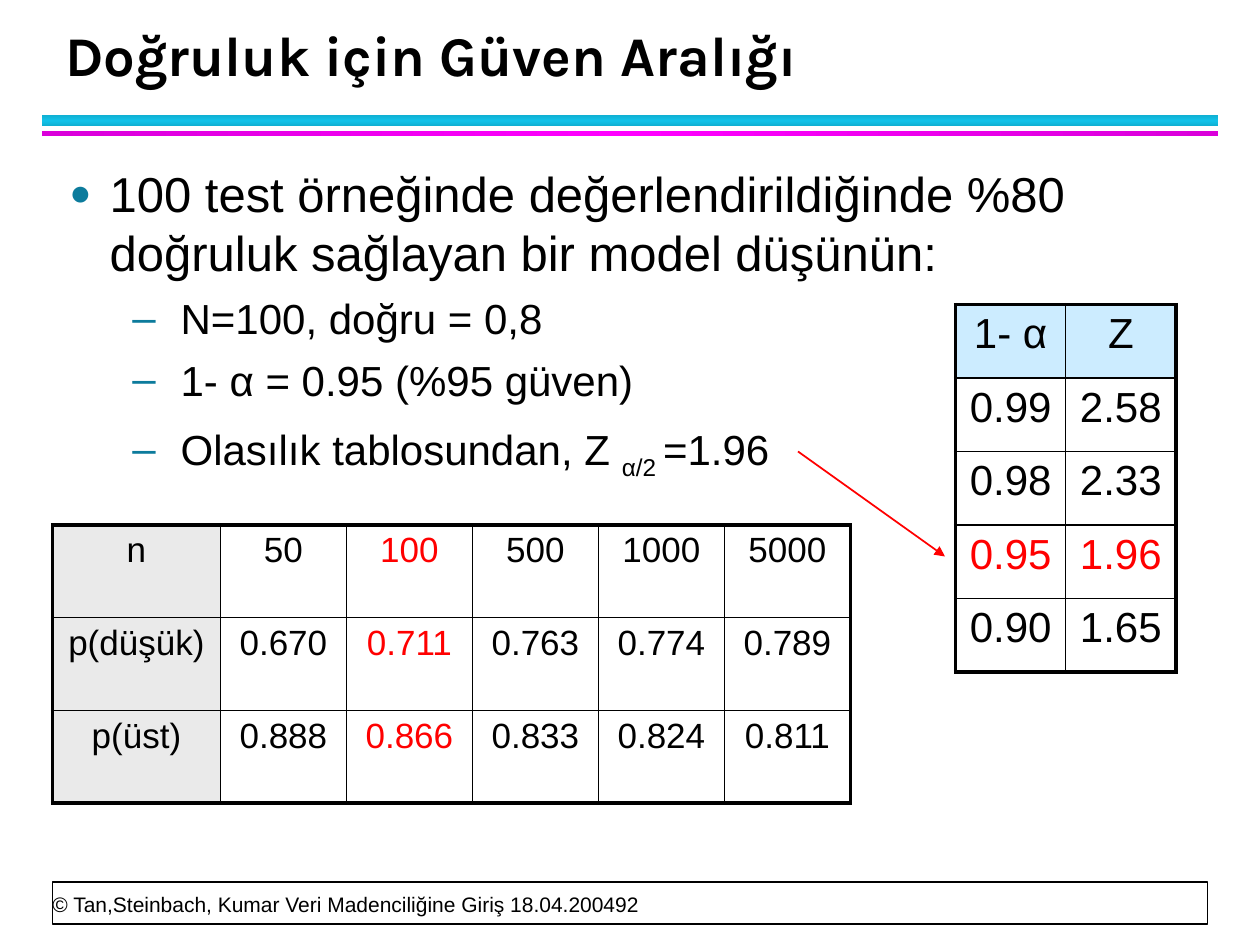
import copy
import lxml.etree
import pptx
import pptx.dml.color
import pptx.enum.shapes
import pptx.enum.text
import pptx.oxml.ns
import pptx.util

Pt = pptx.util.Pt
qn = pptx.oxml.ns.qn
SubElement = lxml.etree.SubElement
Shapes = pptx.enum.shapes.MSO_SHAPE
Anchor = pptx.enum.text.MSO_ANCHOR
Align = pptx.enum.text.PP_ALIGN
COLORS = {
    name: pptx.dml.color.RGBColor.from_string(value)
    for name, value in {
        "black": "000000", "white": "FFFFFF", "red": "FF0000",
        "bullet": "0C7B9C", "cyan edge": "10B0D3", "cyan": "12C2E9",
        "magenta edge": "DA00DA", "magenta": "FF00FF",
        "header blue": "CCECFF", "header gray": "EAEAEA",
    }.items()
}


def style(span, size, color="black", name="Arial", bold=False):
    span.font.size = Pt(size)
    span.font.name = name
    span.font.bold = bold
    span.font.color.rgb = COLORS[color]


def place(box, left, top, width, height):
    box.left, box.top, box.width, box.height = Pt(left), Pt(top), Pt(width), Pt(height)


deck = pptx.Presentation()
deck.slide_width, deck.slide_height = Pt(720), Pt(540)
page = deck.slides.add_slide(deck.slide_layouts[1])

for top, height, color, angle in [(66, 6, "cyan", 90), (75, 3, "magenta", 0)]:
    rule = page.shapes.add_shape(Shapes.RECTANGLE, Pt(24), Pt(top), Pt(672), Pt(height))
    rule.shadow.inherit = False
    rule.line.fill.background()
    rule.fill.gradient()
    rule.fill.gradient_angle = angle
    stop_list = rule._element.spPr.find(".//" + qn("a:gsLst"))
    stop_list.append(copy.deepcopy(stop_list[0]))
    edge = color + " edge"
    for stop, position, shade in zip(rule.fill.gradient_stops, (0, 0.5, 1), (edge, color, edge)):
        stop.position = position
        stop.color.rgb = COLORS[shade]

frame = page.shapes.add_shape(Shapes.RECTANGLE, Pt(30), Pt(504), Pt(660), Pt(24))
frame.shadow.inherit = False
frame.fill.solid()
frame.fill.fore_color.rgb = COLORS["white"]
frame.line.color.rgb = COLORS["black"]
frame.line.width = Pt(1)

footer = page.shapes.add_textbox(Pt(30), Pt(504), Pt(659), Pt(20)).text_frame
footer.word_wrap = True
footer.vertical_anchor = Anchor.BOTTOM
footer.margin_left = footer.margin_top = footer.margin_right = footer.margin_bottom = 0
footer.text = "© Tan,Steinbach, Kumar Veri Madenciliğine Giriş 18.04.200492"
footer.paragraphs[0].line_spacing = Pt(20)
style(footer.paragraphs[0].runs[0], 12)

title = page.shapes.title
place(title, 30, 12, 652.5, 42)
title.text_frame.text = "Doğruluk için Güven Aralığı"
title.text_frame.auto_size = pptx.enum.text.MSO_AUTO_SIZE.NONE
title.text_frame.vertical_anchor = Anchor.BOTTOM
title.text_frame.paragraphs[0].alignment = Align.LEFT
title.text_frame.paragraphs[0].line_spacing = Pt(36)
style(title.text_frame.paragraphs[0].runs[0], 32, name="Karla", bold=True)

body = page.placeholders[1]
place(body, 32.5, 90, 655, 408)
body.text_frame.auto_size = pptx.enum.text.MSO_AUTO_SIZE.NONE
BULLETS = [
    (0, [("100 test örneğinde değerlendirildiğinde %80 doğruluk sağlayan bir model düşünün:", 28)]),
    (1, [("N=100, doğru = 0,8", 24)]),
    (1, [("1- α = 0.95 (%95 güven)", 24)]),
    (1, [("Olasılık tablosundan, Z ", 24), ("α/2 ", 24), ("=1.96", 24), (" ", 28)]),
]
LEVELS = [(23, -23, "●", 75), (63.5, -27.5, "–", 100)]
for index, (level, spans) in enumerate(BULLETS):
    para = body.text_frame.paragraphs[0] if index == 0 else body.text_frame.add_paragraph()
    para.level = level
    para.space_before = Pt(spans[-1][1] / 10)
    para.space_after = Pt(4)
    margin, indent, mark, percent = LEVELS[level]
    properties = para._p.get_or_add_pPr()
    properties.set("marL", str(Pt(margin)))
    properties.set("indent", str(Pt(indent)))
    SubElement(SubElement(properties, qn("a:buClr")), qn("a:srgbClr")).set("val", str(COLORS["bullet"]))
    SubElement(properties, qn("a:buSzPct")).set("val", str(percent * 1000))
    SubElement(properties, qn("a:buFont")).set("typeface", "Arial")
    SubElement(properties, qn("a:buChar")).set("char", mark)
    for text, size in spans:
        span = para.add_run()
        span.text = text
        style(span, size)
        if text == "α/2 ":
            span.font._element.set("baseline", "-25000")

Z_ROWS = [("1- α", "Z"), ("0.99", "2.58"), ("0.98", "2.33"), ("0.95", "1.96"), ("0.90", "1.65")]
BOUND_ROWS = [
    ("n", "50", "100", "500", "1000", "5000"),
    ("p(düşük)", "0.670", "0.711", "0.763", "0.774", "0.789"),
    ("p(üst)", "0.888", "0.866", "0.833", "0.824", "0.811"),
]
TABLES = [
    (Z_ROWS, 546, 174, [63, 63], 42, 24, "header blue"),
    (BOUND_ROWS, 30, 300, [96] + [72] * 5, 53, 20, "header gray"),
]
RED_VALUES = {"0.95", "1.96", "100", "0.711", "0.866"}
for rows, left, top, widths, height, size, header in TABLES:
    last_row, last_column = len(rows) - 1, len(widths) - 1
    table = page.shapes.add_table(
        len(rows), len(widths), Pt(left), Pt(top), Pt(sum(widths)), Pt(height * len(rows))
    ).table
    table.first_row = table.horz_banding = False
    for column, width in zip(table.columns, widths):
        column.width = Pt(width)
    for r, values in enumerate(rows):
        table.rows[r].height = Pt(height)
        for c, value in enumerate(values):
            cell = table.cell(r, c)
            cell.text_frame.text = value
            para = cell.text_frame.paragraphs[0]
            para.alignment = Align.CENTER
            para.space_before = Pt(size / 10)
            para.space_after = Pt(4)
            style(para.runs[0], size, "red" if value in RED_VALUES else "black")
            is_header = r == 0 if header == "header blue" else c == 0
            properties = cell._tc.get_or_add_tcPr()
            outer_sides = {"L": c == 0, "R": c == last_column, "T": r == 0, "B": r == last_row}
            for side, outer in outer_sides.items():
                border = SubElement(properties, qn("a:ln" + side))
                border.set("w", str(Pt(2.25 if outer else 1)))
                paint = SubElement(border, qn("a:solidFill"))
                SubElement(paint, qn("a:srgbClr")).set("val", str(COLORS["black"]))
            cell.fill.solid()
            cell.fill.fore_color.rgb = COLORS[header if is_header else "white"]

arrow = page.shapes.add_connector(
    pptx.enum.shapes.MSO_CONNECTOR.STRAIGHT, Pt(456), Pt(258), Pt(540), Pt(318)
)
arrow.line.color.rgb = COLORS["red"]
arrow.line.width = Pt(1)
SubElement(arrow.line._get_or_add_ln(), qn("a:tailEnd")).set("type", "triangle")
SubElement(arrow._element.spPr, qn("a:effectLst"))

deck.save("out.pptx")
